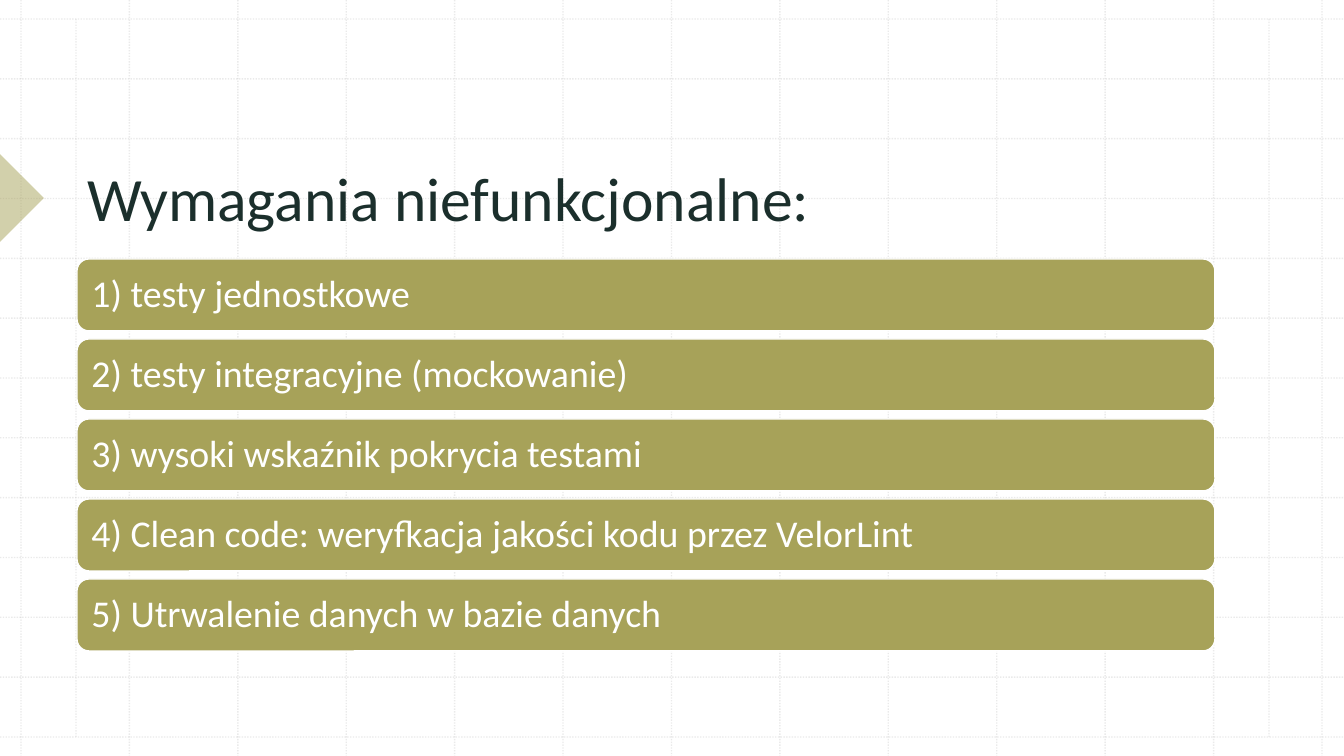
from dataclasses import dataclass

from lxml.etree import SubElement
from pptx import Presentation
from pptx.dml.color import RGBColor as Color
from pptx.enum.dml import MSO_LINE_DASH_STYLE as Dash
from pptx.enum.shapes import MSO_CONNECTOR as Connector, MSO_SHAPE as Shape
from pptx.enum.text import MSO_ANCHOR as Anchor, MSO_AUTO_SIZE as AutoSize, PP_ALIGN as Align
from pptx.oxml.ns import qn
from pptx.util import Emu, Pt

# Content
TITLE = "Wymagania niefunkcjonalne:"
REQUIREMENTS = [
    "1) testy jednostkowe",
    "2) testy integracyjne (mockowanie)",
    "3) wysoki wskaźnik pokrycia testami",
    "4) Clean code: weryfkacja jakości kodu przez VelorLint",
    "5) Utrwalenie danych w bazie danych",
]


@dataclass(frozen=True)
class Theme:
    font: str = "Calibri"
    title_size: int = 44
    bar_size: int = 27
    dark: Color = Color(0x1B, 0x2F, 0x2C)
    olive: Color = Color(0xA7, 0xA2, 0x59)
    white: Color = Color(0xFF, 0xFF, 0xFF)
    grid: Color = Color(0xBC, 0xBC, 0xBC)


THEME = Theme()

# Layout in pixels
SCALE = 914400 / 100.8
WIDTH, HEIGHT = 1344, 756
LEFT, CONTENT_WIDTH = 77, 1138
TITLE_TOP, TITLE_HEIGHT = 80, 159
BAR_TOP, BAR_HEIGHT, BAR_PITCH = 259, 72, 80
GRID_LEFT, GRID_RIGHT, GRID_TOP, GRID_BOTTOM = 21, 1322, 19, 737
GRID_STEPS = 12
MARGIN_LINES = (76, 1269)
MARKER_SIZE, MARKER_CENTER = 62, 198


def px(value):
    return Emu(round(value * SCALE))


def box(*values):
    return [px(value) for value in values]


def set_alpha(fill_parent, percent):
    color = next(fill_parent.iter(qn("a:srgbClr")))
    SubElement(color, qn("a:alpha")).set("val", str(percent * 1000))


def add_grid_line(x1, y1, x2, y2):
    line = slide.shapes.add_connector(Connector.STRAIGHT, *box(x1, y1, x2, y2))
    line.line.color.rgb = THEME.grid
    line.line.width = Pt(1)
    line.line.dash_style = Dash.ROUND_DOT
    properties = line._element.spPr
    set_alpha(properties, 30)
    SubElement(properties, qn("a:effectLst"))


def add_filled_shape(kind, *bounds):
    shape = slide.shapes.add_shape(kind, *box(*bounds))
    shape.shadow.inherit = False
    shape.fill.solid()
    shape.fill.fore_color.rgb = THEME.olive
    return shape


def write(shape, text, *, size, color, anchor, inset=None, spacing=None):
    frame = shape.text_frame
    frame.word_wrap = True
    frame.auto_size = AutoSize.NONE
    frame.vertical_anchor = anchor
    if inset is not None:
        frame.margin_left = frame.margin_right = px(inset)
    paragraph = frame.paragraphs[0]
    paragraph.alignment = Align.LEFT
    if spacing is not None:
        paragraph.line_spacing = spacing
    run = paragraph.add_run()
    run.text = text
    run.font.name = THEME.font
    run.font.size = Pt(size)
    run.font.color.rgb = color


presentation = Presentation()
presentation.slide_width, presentation.slide_height = box(WIDTH, HEIGHT)
slide = presentation.slides.add_slide(presentation.slide_layouts[5])

# Background grid
for step in range(GRID_STEPS + 1):
    x = GRID_LEFT + step * (GRID_RIGHT - GRID_LEFT) / GRID_STEPS
    y = GRID_TOP + step * (GRID_BOTTOM - GRID_TOP) / GRID_STEPS
    add_grid_line(x, 0, x, HEIGHT)
    add_grid_line(0, y, WIDTH, y)
for x in MARGIN_LINES:
    add_grid_line(x, GRID_TOP, x, GRID_BOTTOM)

# Edge marker
half = MARKER_SIZE / 2
marker = add_filled_shape(Shape.RIGHT_TRIANGLE, -half, MARKER_CENTER - half,
                          MARKER_SIZE, MARKER_SIZE)
marker.rotation = 225
marker.line.fill.background()
set_alpha(marker._element.spPr, 50)

# Title, raised above the grid
title = slide.shapes.title
title.left, title.top, title.width, title.height = box(
    LEFT, TITLE_TOP, CONTENT_WIDTH, TITLE_HEIGHT)
write(title, TITLE, size=THEME.title_size, color=THEME.dark, anchor=Anchor.BOTTOM)
slide.shapes._spTree.append(title._element)

# Requirement bars
for index, requirement in enumerate(REQUIREMENTS):
    bar = add_filled_shape(Shape.ROUNDED_RECTANGLE, LEFT, BAR_TOP + index * BAR_PITCH,
                           CONTENT_WIDTH, BAR_HEIGHT)
    bar.line.color.rgb = THEME.white
    bar.line.width = Pt(1)
    write(bar, requirement, size=THEME.bar_size, color=THEME.white,
          anchor=Anchor.MIDDLE, inset=11, spacing=0.9)

presentation.save("out.pptx")
